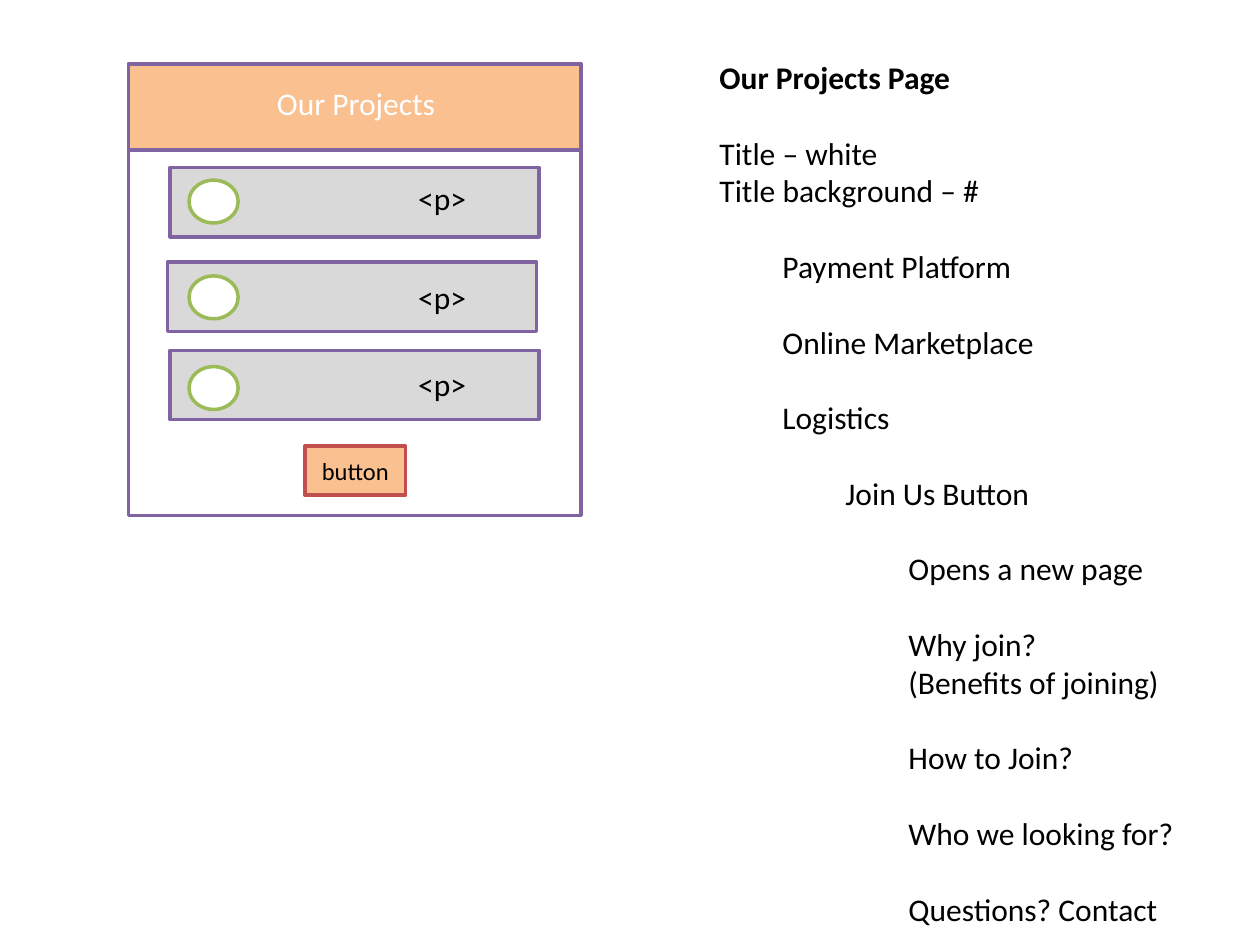
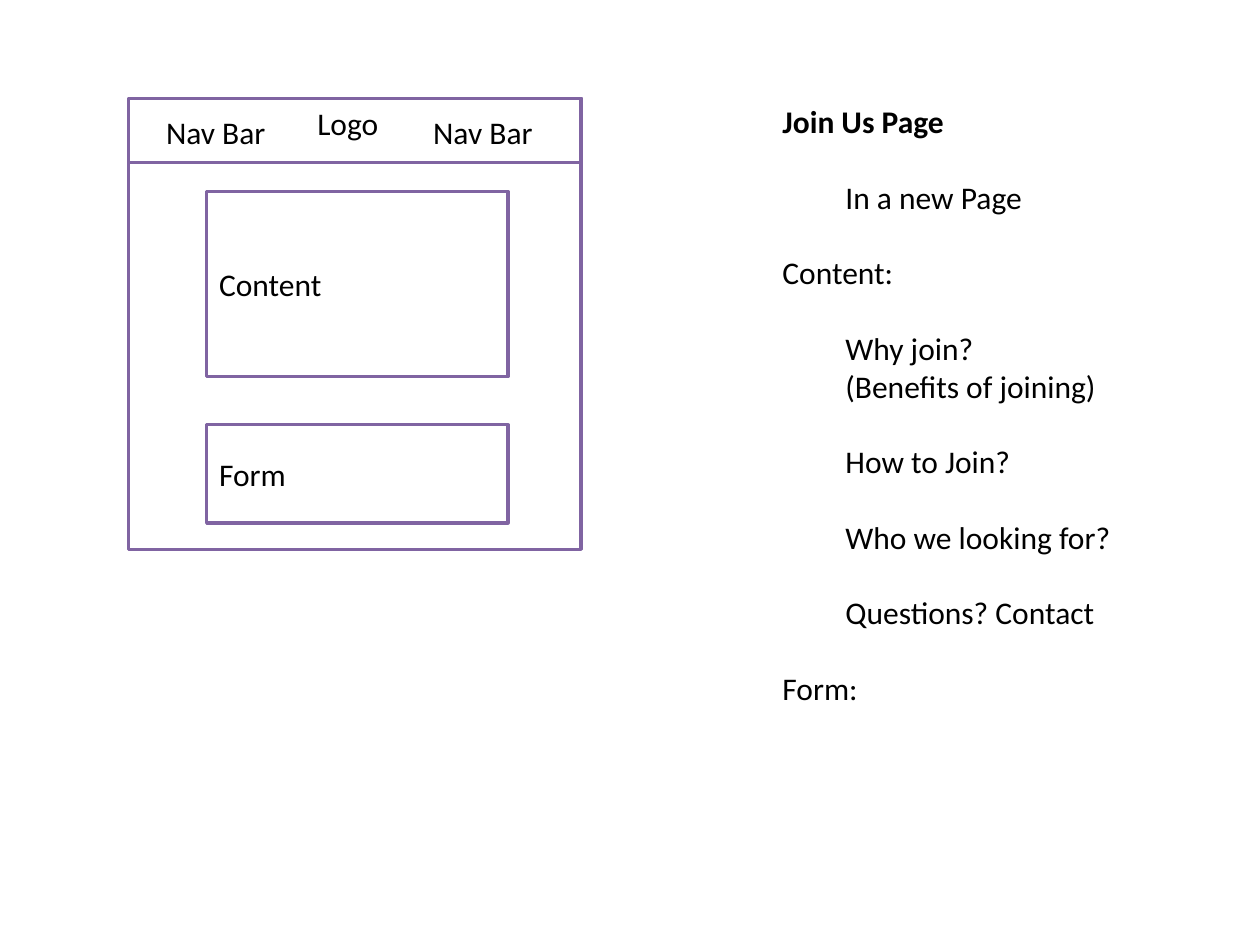
from dataclasses import dataclass

from lxml import etree
from pptx import Presentation
from pptx.dml.color import RGBColor
from pptx.enum.shapes import MSO_SHAPE
from pptx.enum.text import MSO_ANCHOR, MSO_AUTO_SIZE, PP_ALIGN
from pptx.oxml.ns import qn
from pptx.util import Inches, Pt

RECTANGLE, OVAL = MSO_SHAPE.RECTANGLE, MSO_SHAPE.OVAL
TOP, MIDDLE = MSO_ANCHOR.TOP, MSO_ANCHOR.MIDDLE
LEFT, CENTER = PP_ALIGN.LEFT, PP_ALIGN.CENTER

BLACK = RGBColor(0x00, 0x00, 0x00)
WHITE = RGBColor(0xFF, 0xFF, 0xFF)
PURPLE = RGBColor(0x80, 0x64, 0xA2)
ORANGE = RGBColor(0xFA, 0xC0, 0x90)
GREY = RGBColor(0xD9, 0xD9, 0xD9)
GREEN = RGBColor(0x9B, 0xBB, 0x59)
RED = RGBColor(0xC0, 0x50, 0x4D)

FONT = "Calibri"
TEXT_SIZE = 18
LINE_HEIGHT = 21.6  # points, one line of notes
LABEL_ROWS = 4

# The slide is a grid of 100 columns by 75 rows
COLUMNS, ROWS = 100, 75
SLIDE_WIDTH, SLIDE_HEIGHT = Inches(10), Inches(7.5)


@dataclass
class Box:
    """An area measured in grid columns and rows."""
    left: float
    top: float
    width: float
    height: float

    def inner(self, left, top, width, height):
        return Box(self.left + left, self.top + top, width, height)

    def lengths(self):
        column, row = SLIDE_WIDTH / COLUMNS, SLIDE_HEIGHT / ROWS
        return (round(self.left * column), round(self.top * row),
                round(self.width * column), round(self.height * row))


def format_text(para, color=BLACK, size=TEXT_SIZE, bold=False, align=LEFT):
    para.alignment = align
    for span in para.runs:
        span.font.name = FONT
        span.font.size = Pt(size)
        span.font.bold = bold
        span.font.color.rgb = color


def add_block(page, box, fill=WHITE, line=PURPLE, kind=RECTANGLE,
              text="", **style):
    block = page.shapes.add_shape(kind, *box.lengths())
    block.shadow.inherit = False
    block.fill.solid()
    block.fill.fore_color.rgb = fill
    block.line.color.rgb = line
    block.line.width = Pt(2)
    if text:
        frame = block.text_frame
        frame.text = text
        frame.vertical_anchor = MIDDLE
        format_text(frame.paragraphs[0], **style)


def add_label(page, box, text, color=BLACK):
    label = page.shapes.add_textbox(*box.lengths())
    label.text_frame.text = text
    label.text_frame.word_wrap = True
    format_text(label.text_frame.paragraphs[0], color)


def place_placeholder(holder, box):
    holder.left, holder.top, holder.width, holder.height = box.lengths()
    frame = holder.text_frame
    frame.auto_size = MSO_AUTO_SIZE.NONE
    frame.vertical_anchor = TOP
    return frame


def add_notes(page, box, title, notes):
    """Place the heading and its notes: (level, blank lines before, text)."""
    heading = place_placeholder(page.shapes.title,
                                box.inner(0, 0, box.width, LABEL_ROWS))
    heading.text = title
    format_text(heading.paragraphs[0], bold=True)

    # The list starts two lines below the heading
    body = place_placeholder(page.placeholders[1],
                             box.inner(0, 6, box.width, box.height - 6))
    body.text = "\n".join(text for _, _, text in notes)
    for para, (level, blank_lines, _) in zip(body.paragraphs, notes):
        format_text(para)
        para.level = level
        para.space_before = Pt(blank_lines * LINE_HEIGHT)
        properties = para._p.get_or_add_pPr()
        properties.set("marL", str(Inches(0.5 * level)))
        properties.set("indent", "0")
        etree.SubElement(properties, qn("a:buNone"))


def joining_notes(level):
    return [(level, 1, "Why join?"),
            (level, 0, "(Benefits of joining)"),
            (level, 1, "How to Join?"),
            (level, 1, "Who we looking for?"),
            (level, 1, "Questions? Contact")]


def draw_projects_mockup(page, box):
    add_block(page, box)
    # Title band
    add_block(page, box.inner(0, 0, box.width, 6.8), ORANGE)
    add_label(page, box.inner(10.8, 1.1, 15.7, LABEL_ROWS), "Our Projects", WHITE)
    # Project cards: card left, card top, circle top, label top
    cards = [(3.3, 8.2, 9.2, 8.6), (3.1, 15.7, 16.8, 16.5), (3.3, 22.7, 24, 23.4)]
    for left, top, circle_top, label_top in cards:
        add_block(page, box.inner(left, top, 29.3, 5.5), GREY)
        add_block(page, box.inner(4.8, circle_top, 3.9, 3.4), WHITE, GREEN, OVAL)
        add_label(page, box.inner(22, label_top, 5.9, LABEL_ROWS), "<p>")
    # Join button
    add_block(page, box.inner(14, 30.3, 8, 3.9), ORANGE, RED,
              text="button", size=14, align=CENTER)


def draw_join_mockup(page, box):
    add_block(page, box)
    # Navigation band
    add_block(page, box.inner(0, 0, box.width, 5.1))
    add_label(page, box.inner(14, 0, 14.3, LABEL_ROWS), "Logo")
    for left in (2, 23.2):
        add_label(page, box.inner(left, 0.7, 10, LABEL_ROWS), "Nav Bar")
    # Page sections
    for text, top, height in (("Content", 7.4, 14.7), ("Form", 25.9, 7.8)):
        add_block(page, box.inner(6.2, top, 23.9, height), text=text)


def build_projects_page(page):
    draw_projects_mockup(page, Box(10.2, 5.1, 35.9, 35.8))
    add_notes(page, Box(56.1, 4.1, 43.9, 70.9), "Our Projects Page", [
        (0, 0, "Title – white"),
        (0, 0, "Title background – #"),
        (1, 1, "Payment Platform"),
        (1, 1, "Online Marketplace"),
        (1, 1, "Logistics"),
        (2, 1, "Join Us Button"),
        (3, 1, "Opens a new page"),
        *joining_notes(3)])


def build_join_page(page):
    draw_join_mockup(page, Box(10.2, 7.8, 35.9, 35.8))
    add_notes(page, Box(61.1, 7.6, 33.9, 52.5), "Join Us Page", [
        (1, 0, "In a new Page"),
        (0, 1, "Content:"),
        *joining_notes(1),
        (0, 1, "Form:")])


def main():
    deck = Presentation()
    deck.slide_width, deck.slide_height = SLIDE_WIDTH, SLIDE_HEIGHT
    for build in (build_projects_page, build_join_page):
        build(deck.slides.add_slide(deck.slide_layouts[1]))
    deck.save("out.pptx")


if __name__ == "__main__":
    main()
